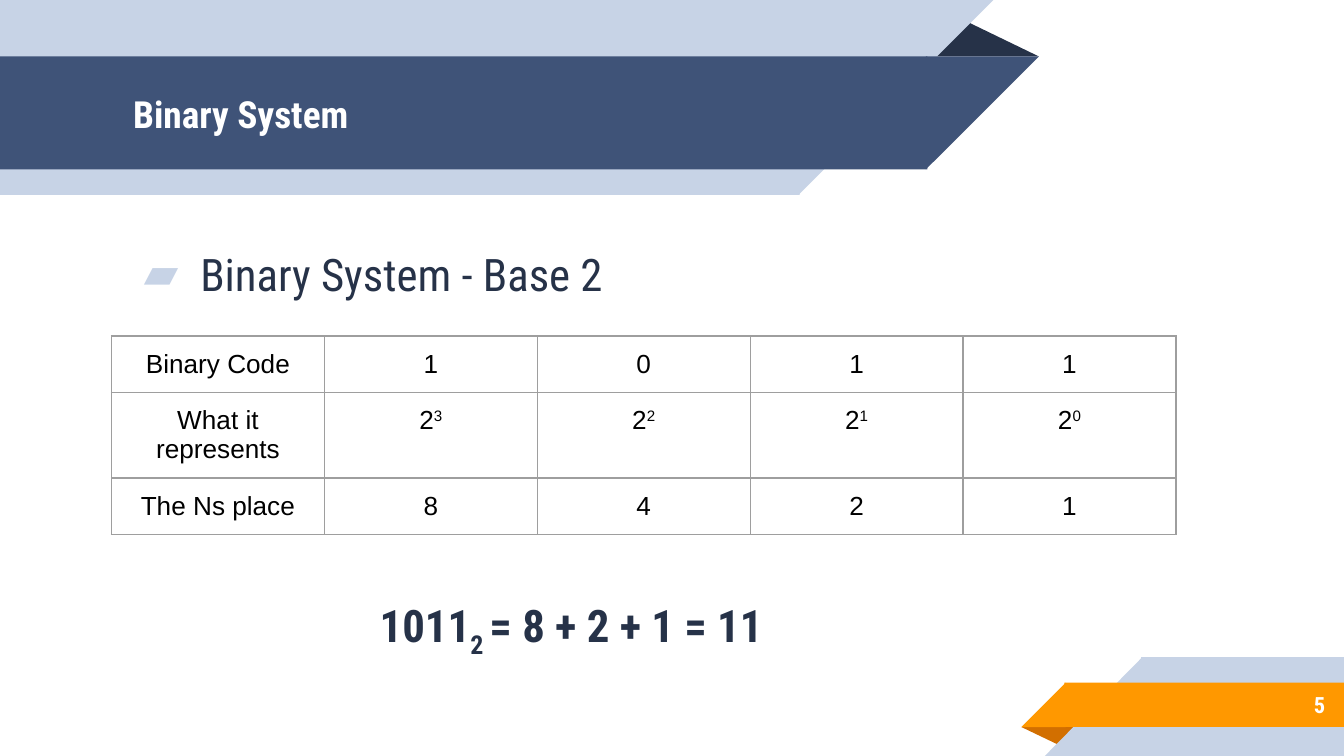
"""Build the slide that explains the binary system with a place-value table."""
from lxml import etree
from pptx import Presentation
from pptx.dml.color import RGBColor
from pptx.enum.shapes import MSO_SHAPE
from pptx.enum.text import MSO_ANCHOR, MSO_AUTO_SIZE, PP_ALIGN
from pptx.oxml.ns import qn
from pptx.util import Inches, Pt

RECTANGLE = MSO_SHAPE.RECTANGLE
RIGHT_TRIANGLE = MSO_SHAPE.RIGHT_TRIANGLE
TRIANGLE = MSO_SHAPE.ISOSCELES_TRIANGLE
LEFT, CENTER, RIGHT = PP_ALIGN.LEFT, PP_ALIGN.CENTER, PP_ALIGN.RIGHT
TOP, MIDDLE = MSO_ANCHOR.TOP, MSO_ANCHOR.MIDDLE
NO_AUTOFIT = MSO_AUTO_SIZE.NONE

WHITE = RGBColor(0xFF, 0xFF, 0xFF)
BLACK = RGBColor(0x00, 0x00, 0x00)
PALE_BLUE = RGBColor(0xC7, 0xD3, 0xE6)
BLUE = RGBColor(0x3F, 0x53, 0x78)
NAVY = RGBColor(0x26, 0x32, 0x48)
ORANGE = RGBColor(0xFF, 0x98, 0x00)
DARK_ORANGE = RGBColor(0xD2, 0x6F, 0x00)
GRAY = RGBColor(0x9E, 0x9E, 0x9E)
HEADING_FONT = "Roboto Condensed"
TABLE_FONT = "Arial"


def format_text(text_frame, alignment, size, font_name, color, bold=False, anchor=MIDDLE):
    text_frame.word_wrap = True
    text_frame.auto_size = NO_AUTOFIT
    text_frame.vertical_anchor = anchor
    text_frame.margin_left = text_frame.margin_right = Inches(0.1)
    text_frame.margin_top = text_frame.margin_bottom = Inches(0.1)
    for paragraph in text_frame.paragraphs:
        paragraph.alignment = alignment
        for run in paragraph.runs:
            run.font.size = Pt(size)
            run.font.name = font_name
            run.font.color.rgb = color
            run.font.bold = bold


def place(shape, left, top, width, height):
    shape.left, shape.top = Inches(left), Inches(top)
    shape.width, shape.height = Inches(width), Inches(height)


presentation = Presentation()
presentation.slide_width = Inches(10)
presentation.slide_height = Inches(10) * 9 // 16
slide = presentation.slides.add_slide(presentation.slide_layouts[1])
shapes = slide.shapes

ribbon_parts = [
    (TRIANGLE, 7.6, 5.41, 0.43, 0.14, 180, False, DARK_ORANGE),
    (RECTANGLE, 8.49, 4.89, 1.51, 0.74, 0, False, PALE_BLUE),
    (RIGHT_TRIANGLE, 7.77, 4.89, 0.73, 0.74, 0, True, PALE_BLUE),
    (RECTANGLE, 7.92, 5.08, 2.08, 0.33, 0, False, ORANGE),
    (RIGHT_TRIANGLE, 7.6, 5.08, 0.33, 0.33, 0, True, ORANGE),
    (TRIANGLE, 6.88, 0.14, 0.85, 0.28, 0, False, NAVY),
    (RECTANGLE, 0, 0, 5.95, 1.45, 0, False, PALE_BLUE),
    (RIGHT_TRIANGLE, 5.94, 0, 1.45, 1.45, 180, True, PALE_BLUE),
    (RECTANGLE, 0, 0.42, 6.9, 0.84, 0, False, BLUE),
    (RIGHT_TRIANGLE, 6.89, 0.42, 0.84, 0.84, 180, True, BLUE),
]
for kind, left, top, width, height, rotation, flipped, color in ribbon_parts:
    part = shapes.add_shape(kind, Inches(left), Inches(top), Inches(width), Inches(height))
    part.shadow.inherit = False
    part.fill.solid()
    part.fill.fore_color.rgb = color
    part.line.fill.background()
    part.rotation = rotation
    if kind == TRIANGLE:
        part.adjustments[0] = 0.32
    if flipped:
        part._element.spPr.find(qn("a:xfrm")).set("flipH", "1")

title = shapes.title
body = slide.placeholders[1]
for placeholder in (title, body):
    placeholder._element.getparent().append(placeholder._element)

place(title, 0.89, 0.43, 6.01, 0.83)
title.text_frame.text = "Binary System"
format_text(title.text_frame, LEFT, 20, HEADING_FONT, WHITE, bold=True)

place(body, 0.89, 1.57, 6.71, 0.93)
body.text_frame.text = "Binary System - Base 2"
format_text(body.text_frame, LEFT, 24, HEADING_FONT, NAVY)
bullet_paragraph = body.text_frame.paragraphs[0]
bullet_paragraph.space_before = Pt(6)
bullet_properties = bullet_paragraph._p.get_or_add_pPr()
bullet_properties.set("marL", str(Inches(0.5)))
bullet_properties.set("indent", str(Inches(-0.42)))
bullet_color = etree.SubElement(bullet_properties, qn("a:buClr"))
etree.SubElement(bullet_color, qn("a:srgbClr"), val=str(PALE_BLUE))
etree.SubElement(bullet_properties, qn("a:buFont"), typeface=HEADING_FONT)
etree.SubElement(bullet_properties, qn("a:buChar"), char="▰")

bits = [1, 0, 1, 1]
powers = [3, 2, 1, 0]
table_rows = [
    ["Binary Code", *bits],
    ["What it represents", *[2] * len(powers)],
    ["The Ns place", *[2 ** power for power in powers]],
]
table_width = Inches(7.92)
table = shapes.add_table(
    3, 5, Inches(0.83), Inches(2.5), table_width, Inches(3 * 0.42)
).table
table.first_row = False
table.horz_banding = False
for column in table.columns:
    column.width = table_width // 5
for row_index, values in enumerate(table_rows):
    table.rows[row_index].height = Inches(0.42)
    for column_index, value in enumerate(values):
        cell = table.cell(row_index, column_index)
        cell.text_frame.text = str(value)
        if row_index == 1 and column_index > 0:
            exponent = cell.text_frame.paragraphs[0].add_run()
            exponent.text = str(powers[column_index - 1])
            exponent._r.get_or_add_rPr().set("baseline", "30000")
        for paragraph in cell.text_frame.paragraphs:
            paragraph.alignment = CENTER
            for run in paragraph.runs:
                run.font.size = Pt(14)
                run.font.name = TABLE_FONT
                run.font.color.rgb = BLACK
        cell.margin_left = cell.margin_right = Inches(0.1)
        cell.margin_top = cell.margin_bottom = Inches(0.1)
        cell_properties = cell._tc.get_or_add_tcPr()
        for side in ("a:lnL", "a:lnR", "a:lnT", "a:lnB"):
            border = etree.SubElement(cell_properties, qn(side), w=str(Pt(0.75)))
            border_fill = etree.SubElement(border, qn("a:solidFill"))
            etree.SubElement(border_fill, qn("a:srgbClr"), val=str(GRAY))
        cell.fill.background()

slide_number = shapes.add_textbox(Inches(8.33), Inches(5.07), Inches(1.63), Inches(0.35))
slide_number.text_frame.text = "5"
format_text(slide_number.text_frame, RIGHT, 12, HEADING_FONT, WHITE, bold=True)

equation = shapes.add_textbox(Inches(2.48), Inches(4.35), Inches(3.54), Inches(0.57))
equation_paragraph = equation.text_frame.paragraphs[0]
equation_paragraph.space_before = Pt(6)
equation_paragraph.space_after = Pt(10)
for text, baseline in (("1011", 0), ("2 ", -25000), ("= 8 + 2 + 1 = 11", 0)):
    run = equation_paragraph.add_run()
    run.text = text
    run._r.get_or_add_rPr().set("baseline", str(baseline))
format_text(equation.text_frame, CENTER, 24, HEADING_FONT, NAVY, bold=True, anchor=TOP)

presentation.save("out.pptx")
